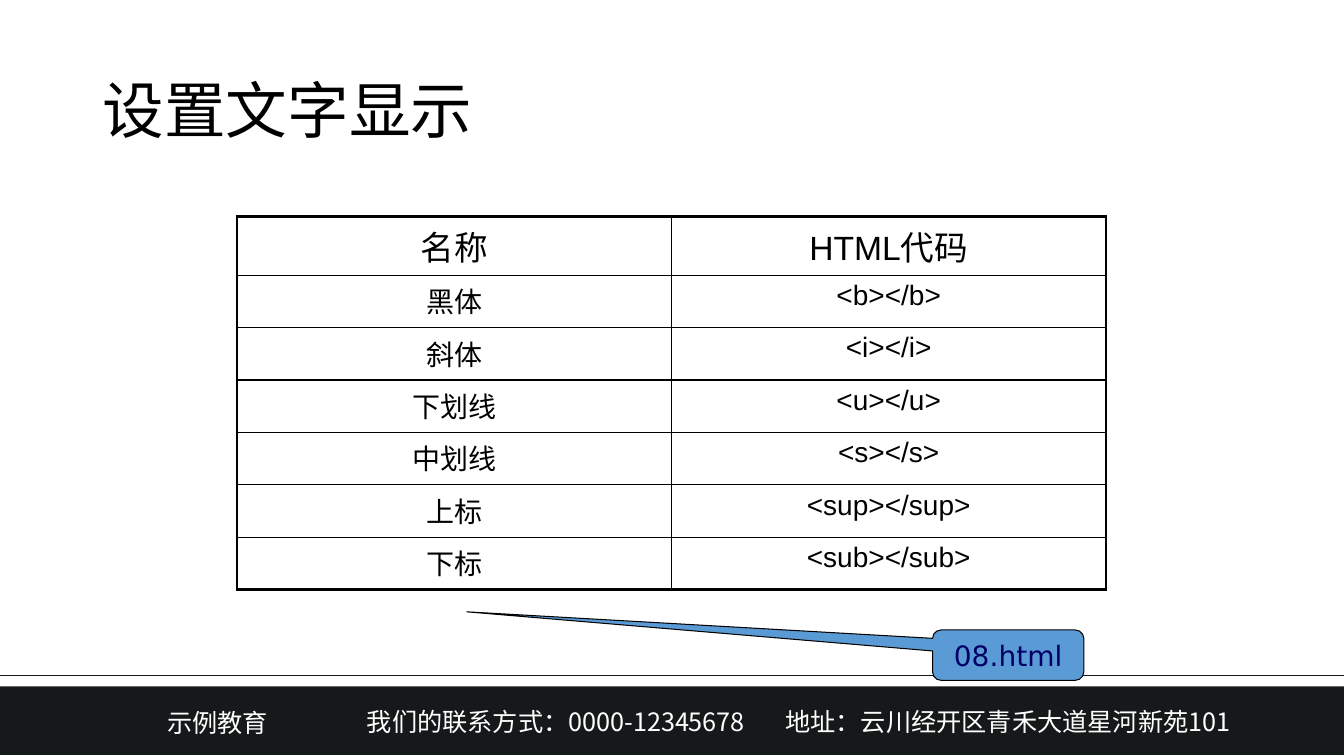
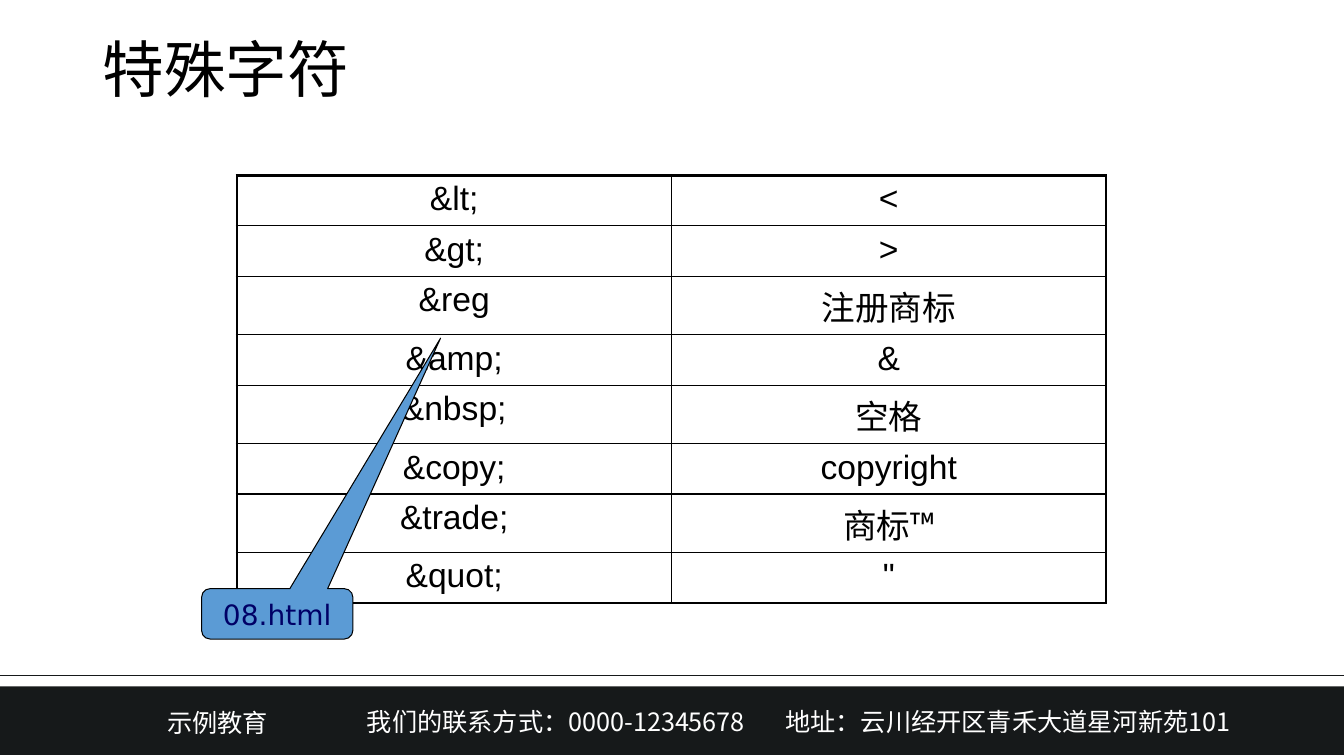
from dataclasses import dataclass
from typing import Any

from lxml import etree
from pptx import Presentation
from pptx.dml.color import RGBColor
from pptx.enum.shapes import MSO_CONNECTOR, MSO_SHAPE
from pptx.enum.text import MSO_ANCHOR, MSO_AUTO_SIZE, PP_ALIGN
from pptx.oxml.ns import qn
from pptx.util import Pt

RECTANGLE = MSO_SHAPE.RECTANGLE
CALLOUT = MSO_SHAPE.ROUNDED_RECTANGULAR_CALLOUT
STRAIGHT = MSO_CONNECTOR.STRAIGHT
TOP, MIDDLE = MSO_ANCHOR.TOP, MSO_ANCHOR.MIDDLE
LEFT, CENTER = PP_ALIGN.LEFT, PP_ALIGN.CENTER
GROW, FIXED = MSO_AUTO_SIZE.SHAPE_TO_FIT_TEXT, MSO_AUTO_SIZE.NONE

# Colours
BLACK = RGBColor(0x00, 0x00, 0x00)
WHITE = RGBColor(0xFF, 0xFF, 0xFF)
CHARCOAL = RGBColor(0x16, 0x19, 0x1A)
BLUE = RGBColor(0x5B, 0x9B, 0xD5)
NAVY = RGBColor(0x00, 0x00, 0x66)

# Measures
CJK_FONT = "Noto Sans CJK SC"
EMU_PER_PX = 9144  # 100 px to the inch
SLIDE_W, SLIDE_H = 1333, 750
COLUMN_W, TABLE_LEFT = 431, 235
LARGE_PT, TALL_ROW = 24, 58
OUTER_PT, INNER_PT = 2.25, 1


@dataclass(frozen=True)
class Box:
    left: int
    top: int
    width: int
    height: int

    def emu(self) -> tuple[int, int, int, int]:
        return px(self.left), px(self.top), px(self.width), px(self.height)


@dataclass(frozen=True)
class TextStyle:
    font: str
    size: int
    color: RGBColor
    align: Any = LEFT
    spacing: float = 1.0


@dataclass(frozen=True)
class Callout:
    box: Box
    tip: tuple[float, float]
    text: str = "08.html"


@dataclass(frozen=True)
class Lesson:
    title: str
    title_top: int
    table_top: int
    row_height: int
    body_size: int
    rows: list[tuple[str, str]]
    callout: Callout


TITLE_STYLE = TextStyle("Calibri", 44, BLACK, spacing=0.9)
FOOTER_STYLE = TextStyle(CJK_FONT, 18, WHITE)
CALLOUT_STYLE = TextStyle("DejaVu Sans", 20, NAVY, CENTER)

FOOTER_TEXTS = [
    (Box(156, 697, 159, 40), "示例教育"),
    (Box(354, 696, 410, 40), "我们的联系方式：0000-12345678"),
    (Box(769, 696, 490, 40), "地址：云川经开区青禾大道星河新苑101"),
]

LESSONS = [
    Lesson(
        "设置文字显示", 40, 215, 52, 20,
        [
            ("名称", "HTML代码"),
            ("黑体", "<b></b>"),
            ("斜体", "<i></i>"),
            ("下划线", "<u></u>"),
            ("中划线", "<s></s>"),
            ("上标", "<sup></sup>"),
            ("下标", "<sub></sub>"),
        ],
        Callout(Box(925, 625, 150, 50), (-3.58, -0.86)),
    ),
    Lesson(
        "特殊字符", -1, 174, 50, LARGE_PT,
        [
            ("&lt;", "<"),
            ("&gt;", ">"),
            ("&reg", "注册商标"),
            ("&amp;", "&"),
            ("&nbsp;", "空格"),
            ("&copy;", "copyright"),
            ("&trade;", "商标™"),
            ("&quot;", '"'),
        ],
        Callout(Box(200, 584, 150, 50), (1.08, -5.47)),
    ),
]


def px(length: int) -> int:
    return length * EMU_PER_PX


def set_all(target: Any, values: dict[str, Any]) -> None:
    for name, value in values.items():
        setattr(target, name, value)


# Text
def write(frame: Any, text: str, style: TextStyle) -> None:
    para = frame.paragraphs[0]
    set_all(para, {"alignment": style.align, "line_spacing": style.spacing})
    span = para.add_run()
    span.text = text
    set_all(span.font, {"name": style.font, "size": Pt(style.size)})
    span.font.color.rgb = style.color
    east_asian = etree.SubElement(span.font._element, qn("a:ea"))
    east_asian.set("typeface", CJK_FONT)


def add_text(page: Any, box: Box, text: str, style: TextStyle,
             anchor: Any = TOP, fit: Any = FIXED) -> None:
    frame = page.shapes.add_textbox(*box.emu()).text_frame
    set_all(frame, {"word_wrap": True, "vertical_anchor": anchor, "auto_size": fit})
    write(frame, text, style)


# Footer band, rule and contact line
def add_footer(page: Any) -> None:
    band = page.shapes.add_shape(RECTANGLE, *Box(0, 681, 1338, 68).emu())
    band.shadow.inherit = False
    band.fill.solid()
    band.fill.fore_color.rgb = CHARCOAL
    band.line.fill.background()
    rule = page.shapes.add_connector(STRAIGHT, px(-3), px(670), px(SLIDE_W), px(670))
    rule.line.color.rgb = CHARCOAL
    rule.line.width = Pt(0.5)
    etree.SubElement(rule._element.spPr, qn("a:effectLst"))
    for box, text in FOOTER_TEXTS:
        add_text(page, box, text, FOOTER_STYLE, fit=GROW)


# Table with a heavy frame and light inner lines
def set_borders(cell: Any, outer_sides: dict[str, bool]) -> None:
    properties = cell._tc.get_or_add_tcPr()
    for side, is_outer in outer_sides.items():
        width = Pt(OUTER_PT if is_outer else INNER_PT)
        line = etree.SubElement(properties, qn(f"a:ln{side}"), w=str(int(width)))
        fill = etree.SubElement(line, qn("a:solidFill"))
        etree.SubElement(fill, qn("a:srgbClr"), val=str(BLACK))


def add_lesson_table(page: Any, lesson: Lesson) -> None:
    row_count, column_count = len(lesson.rows), len(lesson.rows[0])
    sizes = [LARGE_PT] + [lesson.body_size] * (row_count - 1)
    # Large Chinese text needs a taller row
    heights = [
        TALL_ROW if size == LARGE_PT and not "".join(texts).isascii() else lesson.row_height
        for size, texts in zip(sizes, lesson.rows)
    ]
    box = Box(TABLE_LEFT, lesson.table_top, COLUMN_W * column_count, sum(heights))
    table = page.shapes.add_table(row_count, column_count, *box.emu()).table
    set_all(table, {"first_row": False, "horz_banding": False})
    for row, texts in enumerate(lesson.rows):
        table.rows[row].height = px(heights[row])
        style = TextStyle("Arial", sizes[row], BLACK, CENTER)
        for column, text in enumerate(texts):
            cell = table.cell(row, column)
            set_borders(cell, {
                "L": column == 0,
                "R": column == column_count - 1,
                "T": row == 0,
                "B": row == row_count - 1,
            })
            cell.fill.background()
            write(cell.text_frame, text, style)


# Callout naming the example file
def add_callout(page: Any, callout: Callout) -> None:
    shape = page.shapes.add_shape(CALLOUT, *callout.box.emu())
    for index, value in enumerate((*callout.tip, 0.17)):
        shape.adjustments[index] = value
    shape.shadow.inherit = False
    shape.fill.solid()
    shape.fill.fore_color.rgb = BLUE
    shape.line.color.rgb = BLACK
    shape.line.width = Pt(0.75)
    shape.text_frame.vertical_anchor = MIDDLE
    write(shape.text_frame, callout.text, CALLOUT_STYLE)


def add_lesson(deck: Any, lesson: Lesson) -> None:
    page = deck.slides.add_slide(deck.slide_layouts[6])
    add_footer(page)
    add_text(page, Box(92, lesson.title_top, 1150, 145), lesson.title, TITLE_STYLE, MIDDLE)
    add_lesson_table(page, lesson)
    add_callout(page, lesson.callout)


def main() -> None:
    deck = Presentation()
    set_all(deck, {"slide_width": px(SLIDE_W), "slide_height": px(SLIDE_H)})
    for lesson in LESSONS:
        add_lesson(deck, lesson)
    deck.save("out.pptx")


if __name__ == "__main__":
    main()
